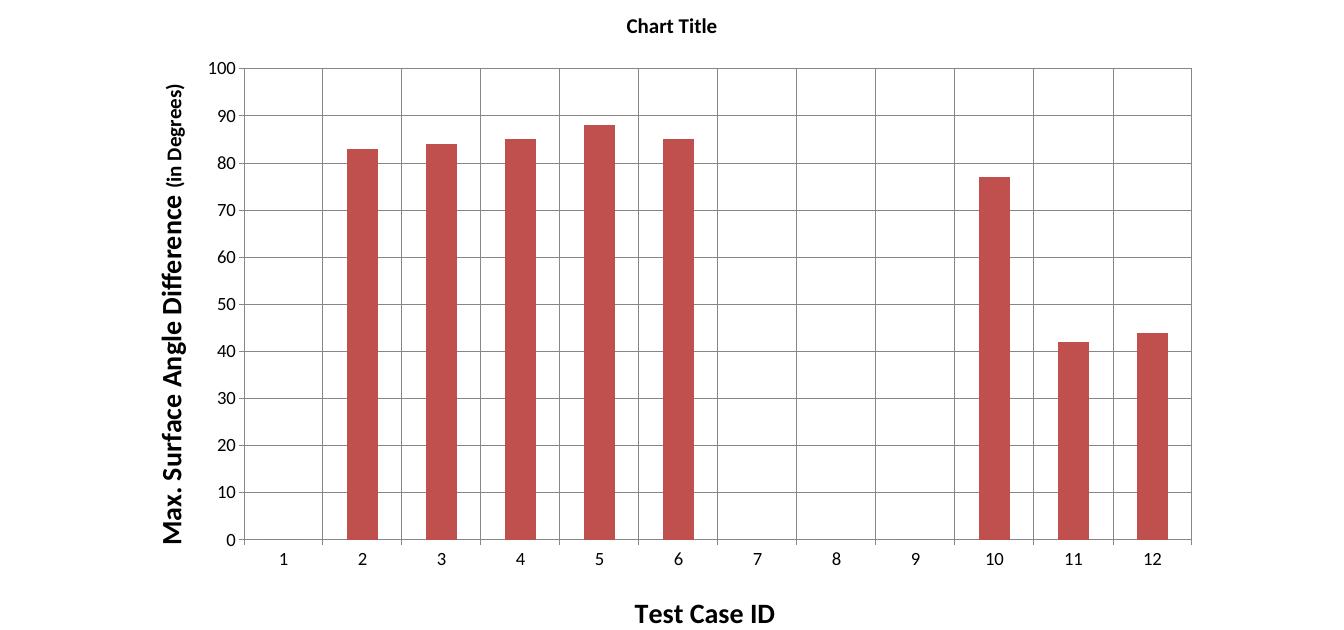
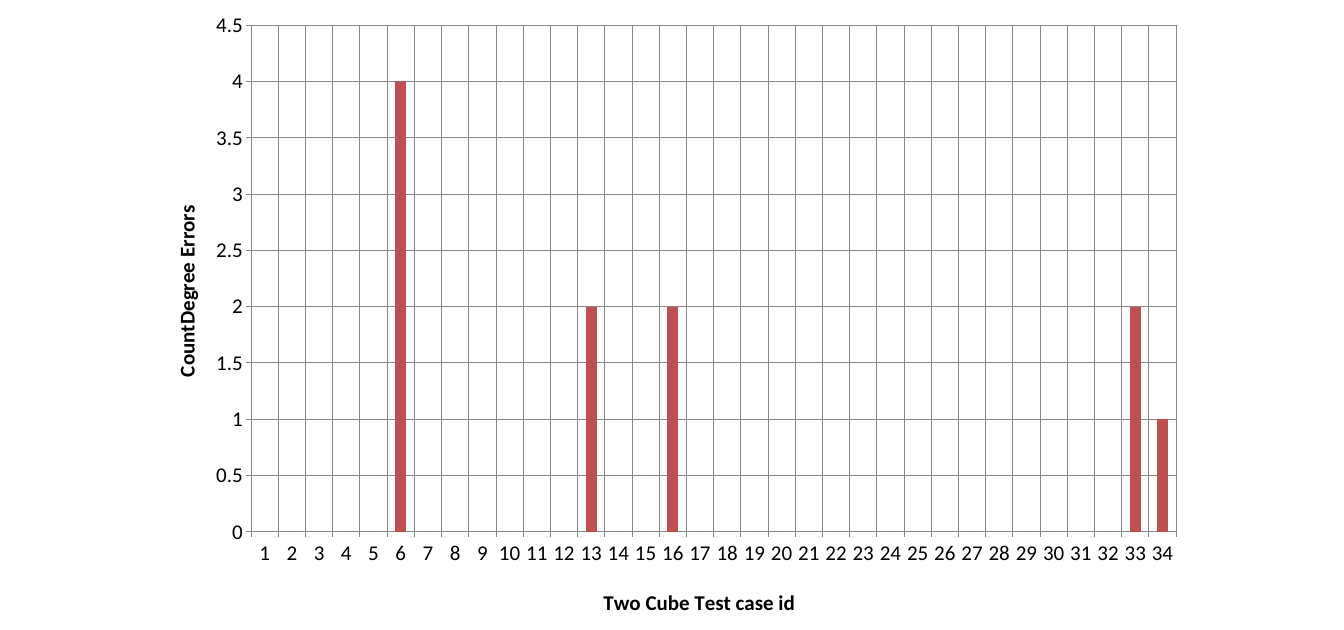
from dataclasses import dataclass

from lxml import etree
from pptx import Presentation
from pptx import util as u
from pptx.chart import data as cd
from pptx.dml import color as col
from pptx.enum import chart as ec
from pptx.oxml import ns

HUES = {"text": "000000", "bar": "C0504D", "grid": "878787"}
FONT = "Calibri"


@dataclass
class Label:
    runs: list[tuple[str, float]]  # text and size in points
    spot: tuple[float, float]  # left and top, percent of the chart


@dataclass
class Graph:
    box: tuple[float, float, float, float]  # cm
    plot: tuple[float, float, float, float]  # percent of the chart
    vals: list[int]
    top: float
    step: float
    size: float
    across: Label
    up: Label
    head: str = ""


def sparse(count: int, hits: dict[int, int]) -> list[int]:
    """Fill in zero for each test case that is not listed."""
    return [hits.get(case, 0) for case in range(1, count + 1)]


GRAPHS = [
    Graph(
        box=(3.91, -0.3, 32.82, 19.69),
        plot=(10.56, 12.1, 87.35, 72.35),
        vals=[0, 83, 84, 85, 88, 85, 0, 0, 0, 77, 42, 44],
        top=100, step=10, size=16,
        across=Label([("Test Case ID", 24)], (46.1, 91.9)),
        up=Label([("Max. Surface Angle Difference ", 24),
                  ("(in Degrees)", 18)], (2, 14)),
        head="Chart Title",
    ),
    Graph(
        box=(4.45, 0, 31.75, 19.05),
        plot=(9.9, 4, 88.1, 80.4),
        vals=sparse(34, {6: 4, 13: 2, 16: 2, 33: 2, 34: 1}),
        top=4.5, step=0.5, size=18,
        across=Label([("Two Cube Test case id", 18)], (43.1, 92.7)),
        up=Label([("CountDegree Errors", 18)], (2, 32)),
    ),
]


def rgb(name: str) -> col.RGBColor:
    return col.RGBColor.from_string(HUES[name])


def style(font, size: float, bold: bool = False) -> None:
    font.name, font.size, font.bold = FONT, u.Pt(size), bold
    font.color.rgb = rgb("text")


def write(frame, text: str, size: float = 18, bold: bool = True) -> None:
    """Add one run to the first paragraph of a frame."""
    run = frame.paragraphs[0].add_run()
    run.text = text
    style(run.font, size, bold)


def place(node, index: int, spot: tuple, inner: bool = False) -> None:
    """Give a title or plot area a fixed place, in percent of the chart."""
    tag = ns.qn("c:layout")
    for old in node.findall(tag):
        node.remove(old)
    layout = etree.Element(tag)
    manual = etree.SubElement(layout, ns.qn("c:manualLayout"))
    parts = [("layoutTarget", "inner")] if inner else []
    parts += [("xMode", "edge"), ("yMode", "edge")]
    parts += [(key, f"{part / 100:.4f}") for key, part in zip("xywh", spot)]
    for key, val in parts:
        etree.SubElement(manual, ns.qn(f"c:{key}")).set("val", val)
    node.insert(index, layout)


def rule(line) -> None:
    line.color.rgb = rgb("grid")
    line.width = u.Pt(0.75)


def set_axis(axis, label: Label, size: float, turn: int = 0) -> None:
    axis.has_major_gridlines = True
    axis.major_tick_mark = ec.XL_TICK_MARK.OUTSIDE
    axis.minor_tick_mark = ec.XL_TICK_MARK.NONE
    rule(axis.major_gridlines.format.line)
    rule(axis.format.line)
    style(axis.tick_labels.font, size)
    title = axis.axis_title
    frame = title.text_frame
    for text, pts in label.runs:
        write(frame, text, size=pts)
    body = frame._txBody.find(ns.qn("a:bodyPr"))
    body.set("rot", str(turn * 60000))
    body.set("vert", "horz")
    place(title._element, 1, label.spot)


def draw(slide, graph: Graph) -> None:
    data = cd.CategoryChartData()
    data.categories = [str(n) for n in range(1, len(graph.vals) + 1)]
    data.add_series("Series 1", graph.vals)
    chart = slide.shapes.add_chart(
        ec.XL_CHART_TYPE.COLUMN_CLUSTERED, *map(u.Cm, graph.box), data).chart
    style(chart.font, graph.size)
    chart.has_legend = False
    chart.has_title = bool(graph.head)
    if graph.head:
        write(chart.chart_title.text_frame, graph.head)

    # Bars
    plot = chart.plots[0]
    plot.gap_width = 150
    plot.vary_by_categories = False
    fill = plot.series[0].format.fill
    fill.solid()
    fill.fore_color.rgb = rgb("bar")

    # Axes
    set_axis(chart.category_axis, graph.across, graph.size)
    axis = chart.value_axis
    axis.minimum_scale, axis.maximum_scale = 0, graph.top
    axis.major_unit = graph.step
    set_axis(axis, graph.up, graph.size, turn=-90)
    area = chart._chartSpace.find(".//" + ns.qn("c:plotArea"))
    place(area, 0, graph.plot, inner=True)


def main() -> None:
    deck = Presentation()
    deck.slide_width, deck.slide_height = u.Cm(40.64), u.Cm(19.05)
    for graph in GRAPHS:
        draw(deck.slides.add_slide(deck.slide_layouts[6]), graph)
    deck.save("out.pptx")


if __name__ == "__main__":
    main()
